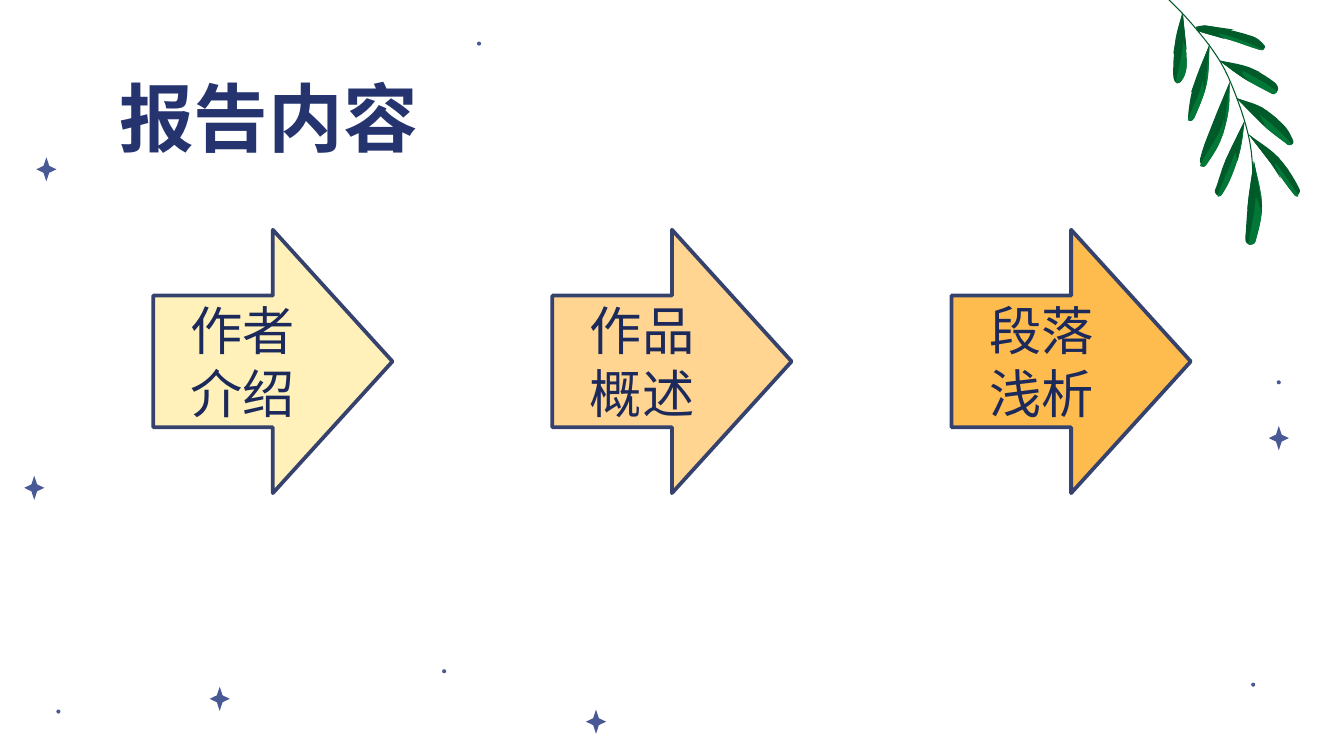
from math import dist
from lxml.etree import SubElement
from pptx import Presentation
from pptx.dml.color import RGBColor
from pptx.enum.shapes import MSO_SHAPE
from pptx.enum.text import MSO_ANCHOR, PP_ALIGN
from pptx.oxml.ns import qn
from pptx.util import Inches, Pt

FONT = "Noto Sans CJK SC"
DARK_GREEN, LIGHT_GREEN, SPARK = "005A29", "017837", "495995"
ARROWS = [("作者介绍", "FFF1B9"), ("作品概述", "FFD591"), ("段落浅析", "FFBC4E")]
STARS = [(4.36, 5.28), (9.44, 3.17), (0.18, 3.54), (0.27, 1.17), (1.56, 5.11)]
DOTS = [(9.5, 2.83), (0.42, 5.28), (9.31, 5.08), (3.55, 0.31), (3.29, 4.98)]
STEM = [(2, -8), (27, 18), (48, 46), (61, 75), (70, 106), (73, 139)]
LEAVES = [
    [(73, 120), (69, 147), (67, 172), (67, 180), (71, 182), (74, 180), (79, 153)],
    [(69, 100), (86, 122), (103, 145), (105, 146), (107, 141), (91, 117)],
    [(60, 73), (82, 95), (96, 106), (99, 108), (102, 107), (102, 104), (96, 94), (79, 80)],
    [(47, 45), (65, 58), (85, 69), (88, 70), (91, 66), (88, 61), (69, 50)],
    [(30, 20), (31, 23), (56, 30), (77, 37), (80, 37), (81, 34), (72, 27), (37, 19)],
    [(66, 90), (63, 111), (56, 132), (49, 145), (47, 146), (44, 143), (45, 139), (52, 119)],
    [(55, 61), (54, 83), (48, 105), (38, 122), (35, 124), (33, 118), (43, 90)],
    [(40, 33), (38, 62), (29, 87), (26, 90), (24, 87), (28, 64)],
    [(20, 9), (23, 47), (21, 57), (16, 62), (13, 56), (15, 28)],
]
HIGHLIGHTS = [
    [(73, 120), (79, 153), (74, 180), (71, 182), (69, 182), (74, 151)],
    [(69, 100), (86, 122), (103, 145), (106, 146), (103, 141), (88, 120)],
    [(60, 73), (82, 95), (96, 106), (99, 108), (101, 107), (82, 89)],
    [(47, 45), (65, 58), (85, 69), (88, 70), (90, 68), (69, 55)],
    [(30, 22), (31, 23), (56, 30), (77, 37), (80, 37), (55, 27)],
    [(66, 91), (63, 111), (56, 132), (49, 145), (46, 146), (57, 119)],
    [(55, 61), (54, 83), (48, 105), (38, 122), (35, 124), (33, 123), (49, 94)],
    [(40, 35), (38, 62), (29, 87), (26, 90), (24, 89), (33, 67)],
    [(20, 10), (23, 47), (21, 57), (16, 62), (15, 61), (20, 35)],
]
SHADES = [
    [(73, 120), (69, 147), (68, 156), (73, 147), (75, 147), (79, 158), (79, 153)],
    [(69, 100), (86, 122), (93, 133), (88, 121), (99, 127), (91, 117)],
    [(60, 73), (82, 95), (83, 97), (77, 85), (82, 86), (91, 89), (79, 80)],
    [(47, 45), (65, 58), (70, 61), (64, 55), (65, 52), (78, 54), (69, 50)],
    [(30, 20), (31, 23), (51, 29), (47, 26), (46, 24), (58, 22), (37, 19)],
    [(66, 90), (61, 120), (59, 113), (49, 127), (52, 119)],
    [(55, 61), (50, 100), (51, 94), (50, 82), (43, 91)],
    [(40, 33), (36, 69), (35, 57), (26, 69), (28, 64)],
    [(20, 9), (23, 37), (19, 27), (13, 40), (15, 28)],
]


def color(value):
    """Turn a hex string into a colour."""
    return RGBColor.from_string(value)


def paint(shape, fill=None, line=None, width=1):
    """Set fill and outline, and drop the shadow."""
    shape.shadow.inherit = False
    if fill:
        shape.fill.solid()
        shape.fill.fore_color.rgb = color(fill)
    else:
        shape.fill.background()
    if line:
        shape.line.color.rgb = color(line)
        shape.line.width = Pt(width)
    else:
        shape.line.fill.background()


def write(shape, text, align, ink, **formats):
    """Write one formatted paragraph, centred vertically."""
    frame = shape.text_frame
    frame.word_wrap = True
    frame.vertical_anchor = MSO_ANCHOR.MIDDLE
    para = frame.paragraphs[0]
    para.alignment = align
    span = para.add_run()
    span.text = text
    for name, value in {"name": FONT, **formats}.items():
        setattr(span.font, name, value)
    span.font.color.rgb = color(ink)
    SubElement(span.font._element, qn("a:ea"), typeface=FONT)


def smooth(points, steps=5):
    """Curve through the points, with tangents as long as each chord."""
    padded = [points[0], *points, points[-1]]
    curve = [points[0]]
    for a, b, c, d in zip(padded, padded[1:], padded[2:], padded[3:]):
        chord = dist(b, c)
        leave, arrive = chord / (dist(a, c) or 1), chord / (dist(b, d) or 1)
        for step in range(1, steps + 1):
            t = step / steps
            curve.append(tuple(
                q + (r - q) * t * t * (3 - 2 * t)
                + (r - p) * leave * t * (1 - t) ** 2
                - (s - q) * arrive * t * t * (1 - t)
                for p, q, r, s in zip(a, b, c, d)))
    return curve


def outline(page, left, top, points, close=True):
    """Draw a freeform from points in hundredths of an inch."""
    start, *rest = [(Inches(left + x / 100), Inches(top + y / 100)) for x, y in points]
    builder = page.shapes.build_freeform(*start)
    builder.add_line_segments(rest, close=close)
    return builder.convert_to_shape()


def add_branch(page, left, top):
    """Draw the stem and its leaves."""
    paint(outline(page, left, top, smooth(STEM), close=False), line=DARK_GREEN, width=0.58)
    for group, fill in ((LEAVES, DARK_GREEN), (HIGHLIGHTS, LIGHT_GREEN)):
        for leaf in group:
            paint(outline(page, left, top, smooth([*leaf, leaf[0]])), fill)
    for shade in SHADES:
        paint(outline(page, left, top, shade), DARK_GREEN)


def add_sparks(page):
    """Scatter the stars and dots."""
    for kind, places, width, height in ((MSO_SHAPE.STAR_4_POINT, STARS, 0.15, 0.18),
                                        (MSO_SHAPE.OVAL, DOTS, 0.03, 0.03)):
        for left, top in places:
            spark = page.shapes.add_shape(
                kind, Inches(left), Inches(top), Inches(width), Inches(height))
            paint(spark, SPARK)
            if kind == MSO_SHAPE.STAR_4_POINT:
                spark.adjustments[0] = 0.2


def add_title(page, left, top, width, height):
    """Place the heading."""
    box = page.shapes.add_textbox(Inches(left), Inches(top), Inches(width), Inches(height))
    for side in ("left", "top", "right", "bottom"):
        setattr(box.text_frame, f"margin_{side}", Inches(0.1))
    write(box, "报告内容", PP_ALIGN.LEFT, "25346F", size=Pt(40), bold=True)


def add_arrows(page, left, top, width, height, pitch):
    """Place the row of section arrows."""
    for index, (text, fill) in enumerate(ARROWS):
        arrow = page.shapes.add_shape(
            MSO_SHAPE.RIGHT_ARROW, Inches(left + index * pitch), Inches(top),
            Inches(width), Inches(height))
        paint(arrow, fill, "36426E", 2)
        write(arrow, text, PP_ALIGN.CENTER, "1C295B", size=Pt(28))


def main():
    """Build and save the contents slide."""
    deck = Presentation()
    deck.slide_width, deck.slide_height = Inches(10), Inches(10 * 9 / 16)
    page = deck.slides.add_slide(deck.slide_layouts[6])
    add_branch(page, 8.6, 0)
    add_sparks(page)
    add_title(page, 0.79, 0.59, 8.43, 0.56)
    add_arrows(page, 1.14, 1.71, 1.78, 1.96, 2.97)
    deck.save("out.pptx")


if __name__ == "__main__":
    main()
